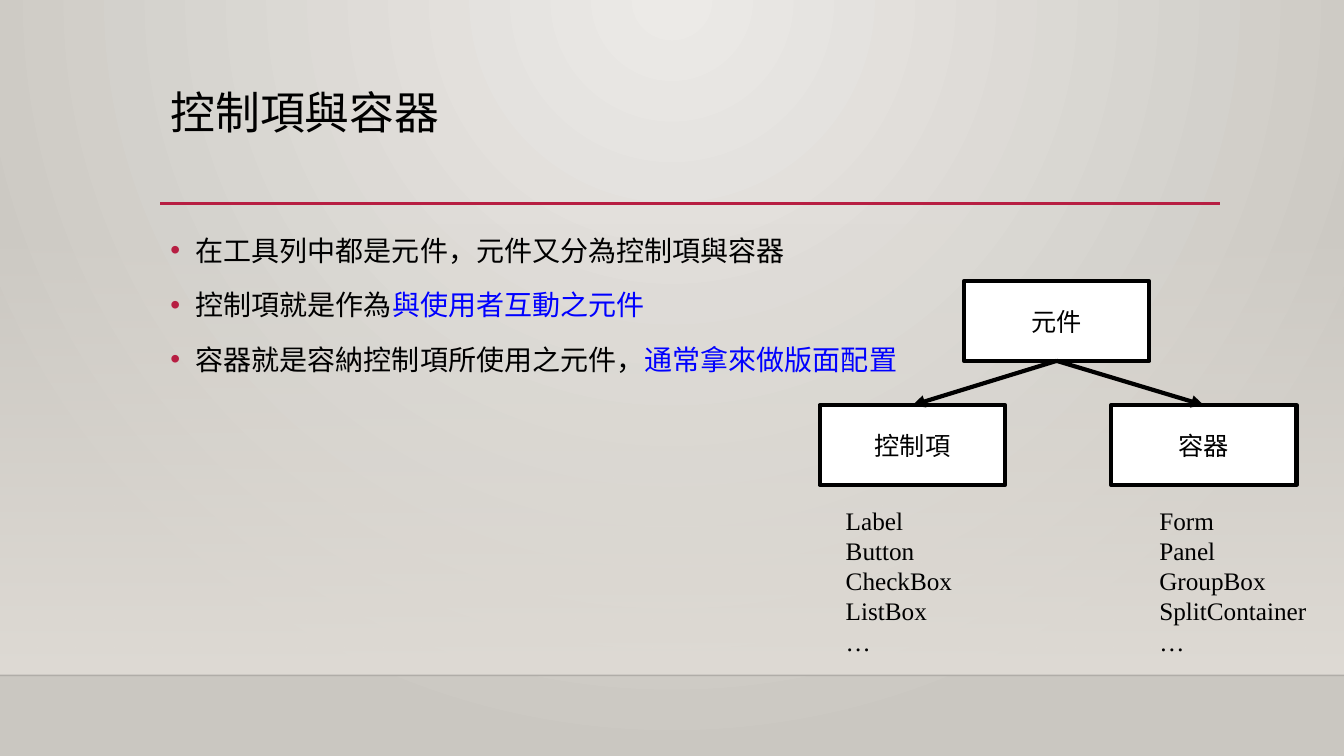
from dataclasses import dataclass

from lxml import etree
from pptx import Presentation
from pptx.dml.color import RGBColor
from pptx.enum.shapes import MSO_CONNECTOR as CONN, MSO_SHAPE as SHAPE
from pptx.enum.text import MSO_ANCHOR as ANCHOR, MSO_AUTO_SIZE as AUTO, PP_ALIGN as ALIGN
from pptx.oxml import parse_xml
from pptx.oxml.ns import nsdecls, qn
from pptx.util import Pt

PX = 9144  # EMU, 100 px to the inch
W, H = 1333, 750
FLOOR = 670


@dataclass(frozen=True)
class Theme:
    font: str = "Times New Roman"
    ink: str = "000000"
    blue: str = "0000FF"
    accent: str = "B71E42"
    white: str = "FFFFFF"
    glow: str = "ECEAE7"
    edge: str = "CAC7C1"
    wall: str = "DFDBD5"
    title: int = 32
    body: int = 20
    label: int = 18


T = Theme()


def px(*values):
    return [v * PX for v in values]


def rgb(color):
    return RGBColor.from_string(color)


def write(p, text, size=T.label, color=T.ink):
    r = p.add_run()
    r.text = text
    r.font.name, r.font.size = T.font, Pt(size)
    r.font.color.rgb = rgb(color)


def set_gradient(parent, stops, direction):
    """Swap the solid fill in parent for (position, colour, alpha) stops, all in percent."""
    gs = "".join(
        f'<a:gs pos="{pos * 1000}"><a:srgbClr val="{color}">'
        f'<a:alpha val="{alpha * 1000}"/></a:srgbClr></a:gs>'
        for pos, color, alpha in stops)
    xml = (f'<a:gradFill {nsdecls("a")} rotWithShape="1">'
           f'<a:gsLst>{gs}</a:gsLst>{direction}</a:gradFill>')
    parent.replace(parent.find(qn("a:solidFill")), parse_xml(xml))


def add_rect(slide, box, fill):
    s = slide.shapes.add_shape(SHAPE.RECTANGLE, *px(*box))
    s.shadow.inherit = False
    s.fill.solid()
    s.fill.fore_color.rgb = rgb(fill)
    return s


def add_line(slide, start, end, color, width, alpha=100, arrow=False):
    s = slide.shapes.add_connector(CONN.STRAIGHT, *px(*start, *end))
    s.line.color.rgb, s.line.width = rgb(color), Pt(width)
    sp_pr = s._element.spPr
    ln = sp_pr.find(qn("a:ln"))
    if alpha < 100:
        clr = ln.find(".//" + qn("a:srgbClr"))
        etree.SubElement(clr, qn("a:alpha"), val=str(alpha * 1000))
    if arrow:
        etree.SubElement(ln, qn("a:tailEnd"), type="triangle")
    etree.SubElement(sp_pr, qn("a:effectLst"))


def draw_backdrop(slide):
    slide.background.fill.solid()
    set_gradient(slide._element.find(".//" + qn("p:bgPr")),
                 [(0, T.glow, 100), (100, T.edge, 100)],
                 '<a:path path="circle">'
                 '<a:fillToRect l="43000" t="0" r="43000" b="100000"/></a:path>')
    top = 221
    wall = add_rect(slide, (0, top, W, FLOOR - top), T.wall)
    wall.line.fill.background()
    set_gradient(wall._element.spPr, [(0, T.wall, 0), (100, T.wall, 100)],
                 '<a:lin ang="5400000" scaled="0"/>')
    slide.shapes._spTree.insert(2, wall._element)  # behind the placeholders
    add_line(slide, (0, FLOOR), (W, FLOOR), T.ink, 1, alpha=20)


def place(s, box):
    """Put a placeholder in its box and return its top-anchored text frame."""
    s.left, s.top, s.width, s.height = px(*box)
    tf = s.text_frame
    tf.word_wrap, tf.auto_size = True, AUTO.NONE
    tf.vertical_anchor = ANCHOR.TOP
    return tf


def fill_title(slide, box, text):
    p = place(slide.shapes.title, box).paragraphs[0]
    p.alignment, p.line_spacing = ALIGN.LEFT, 0.9
    write(p, text, size=T.title)
    x, y, w, h = box
    rule_y = y + h + 2
    add_line(slide, (x, rule_y), (x + w + 1, rule_y), T.accent, 2.5)


def fill_bullets(slide, box, items):
    """Each item is a plain part followed by a highlighted part."""
    tf = place(slide.placeholders[1], box)
    for i, (plain, marked) in enumerate(items):
        p = tf.add_paragraph() if i else tf.paragraphs[0]
        p.line_spacing, p.space_before = 1.2, Pt(10)
        pr = p._p.get_or_add_pPr()
        pr.set("marL", str(25 * PX))
        pr.set("indent", str(-25 * PX))
        clr = etree.SubElement(pr, qn("a:buClr"))
        etree.SubElement(clr, qn("a:srgbClr"), val=T.accent)
        etree.SubElement(pr, qn("a:buFont"), typeface="Arial")
        etree.SubElement(pr, qn("a:buChar"), char="•")
        write(p, plain, size=T.body)
        if marked:
            write(p, marked, size=T.body, color=T.blue)


def add_node(slide, box, text):
    s = add_rect(slide, box, T.white)
    s.line.color.rgb, s.line.width = rgb(T.ink), Pt(3)
    tf = s.text_frame
    tf.vertical_anchor = ANCHOR.MIDDLE
    tf.paragraphs[0].alignment = ALIGN.CENTER
    write(tf.paragraphs[0], text)


def add_examples(slide, box, names):
    tf = slide.shapes.add_textbox(*px(*box)).text_frame
    tf.word_wrap, tf.auto_size = False, AUTO.SHAPE_TO_FIT_TEXT
    for i, name in enumerate(names):
        write(tf.add_paragraph() if i else tf.paragraphs[0], name)


def draw_tree(slide, box, root, branches):
    """Root centred above its branches; each branch is (name, examples, inset, width)."""
    x, y, w, h = box
    node_w, node_h, drop = 184, 79, 123
    step = (w - node_w) // (len(branches) - 1)
    root_x = x + (w - node_w) // 2 - 1
    start = (root_x + node_w // 2, y + node_h)
    add_node(slide, (root_x, y, node_w, node_h), root)
    for i, (name, examples, inset, list_w) in enumerate(branches):
        left, top = x + i * step, y + drop
        list_y = top + node_h + 15
        add_node(slide, (left, top, node_w, node_h), name)
        add_examples(slide, (left + inset, list_y, list_w, y + h - list_y), examples)
        add_line(slide, start, (left + node_w // 2, top), T.ink, 3, arrow=True)


def main():
    prs = Presentation()
    prs.slide_width, prs.slide_height = px(W, H)
    slide = prs.slides.add_slide(prs.slide_layouts[1])
    draw_backdrop(slide)
    fill_title(slide, (159, 85, 1050, 115), "控制項與容器")
    fill_bullets(slide, (159, 220, 1050, 377), [
        ("在工具列中都是元件，元件又分為控制項與容器", ""),
        ("控制項就是作為", "與使用者互動之元件"),
        ("容器就是容納控制項所使用之元件，", "通常拿來做版面配置"),
    ])
    draw_tree(slide, (813, 279, 473, 379), "元件", [
        ("控制項", ["Label", "Button", "CheckBox", "ListBox", "…"], 16, 127),
        ("容器", ["Form", "Panel", "GroupBox", "SplitContainer", "…"], 38, 167),
    ])
    prs.save("out.pptx")


if __name__ == "__main__":
    main()
